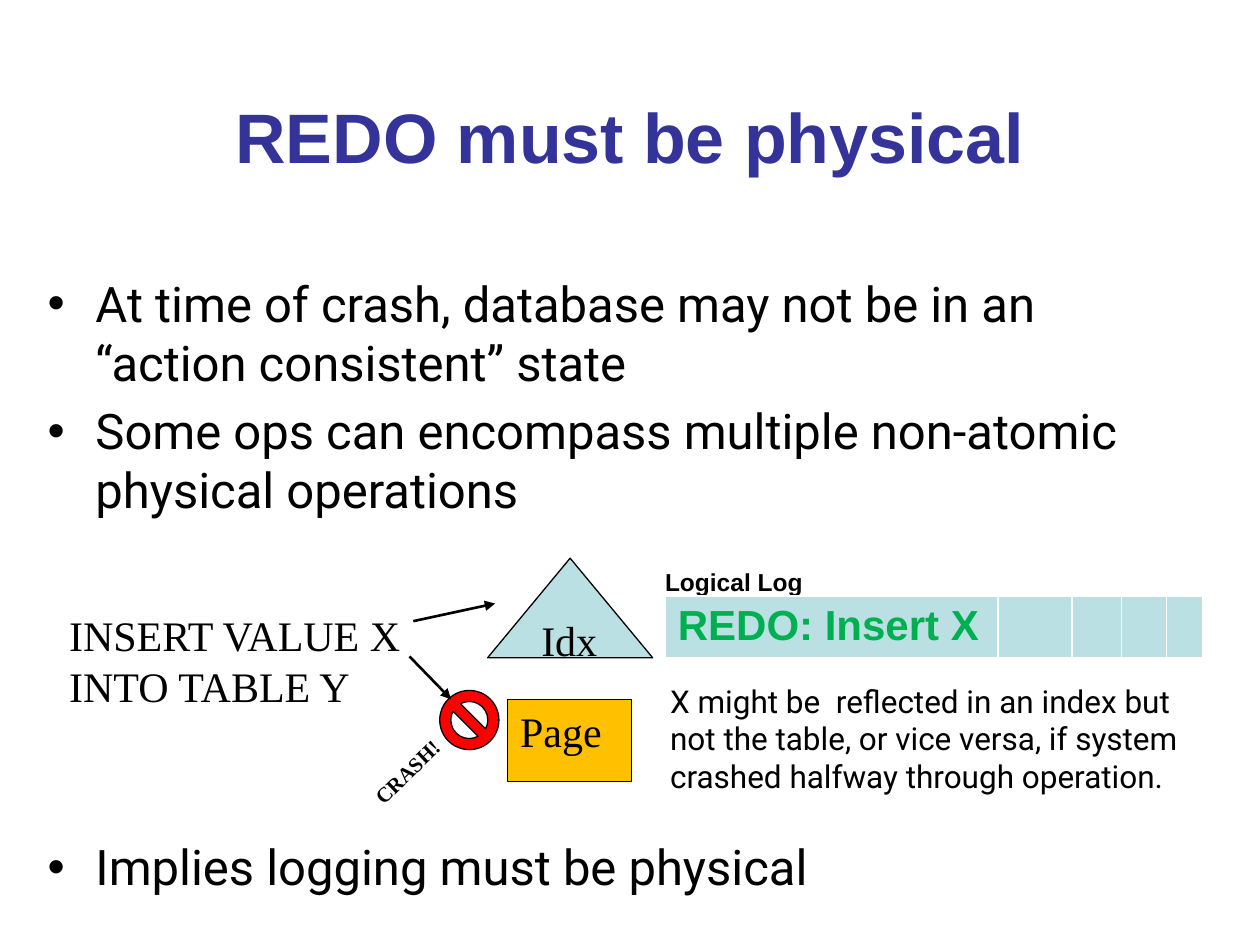
"""Build the slide that explains why REDO logging must be physical."""
from lxml.etree import SubElement
from pptx import Presentation
from pptx.dml.color import RGBColor
from pptx.enum.shapes import MSO_CONNECTOR, MSO_SHAPE
from pptx.enum.text import MSO_ANCHOR, PP_ALIGN
from pptx.oxml import parse_xml
from pptx.oxml.ns import nsdecls, qn
from pptx.util import Inches, Pt


def paint(fill, colour):
    fill.solid()
    fill.fore_color.rgb = RGBColor.from_string(colour)


def write(frame, *lines, font="Times New Roman", size=24, colour="000000", bold=False,
          align=PP_ALIGN.LEFT, anchor=MSO_ANCHOR.TOP, wrap=True, bullet=None,
          left=0, hanging=0, gaps=(0,)):
    frame.word_wrap = wrap
    frame.vertical_anchor = anchor
    for index, (line, gap) in enumerate(zip(lines, gaps)):
        paragraph = frame.add_paragraph() if index else frame.paragraphs[0]
        properties = paragraph._p.get_or_add_pPr()
        properties.set("marL", str(Inches(left)))
        properties.set("indent", str(-Inches(hanging)))
        if bullet:
            SubElement(properties, qn("a:buFont")).set("typeface", "Arial")
            SubElement(properties, qn("a:buChar")).set("char", bullet)
        paragraph.alignment = align
        paragraph.space_before = Pt(gap)
        run = paragraph.add_run()
        run.text = line
        run.font.name = font
        run.font.size = Pt(size)
        run.font.bold = bold
        paint(run.font.fill, colour)


deck = Presentation()
deck.slide_width, deck.slide_height = Inches(10), Inches(7.5)
slide = deck.slides.add_slide(deck.slide_layouts[6])
shapes = slide.shapes
unit = deck.slide_width // 100

captions = [
    ((7.5, 3.3, 85, 14.9), ["REDO must be physical"],
     dict(font="Arial", size=40, colour="333399", bold=True,
          align=PP_ALIGN.CENTER, anchor=MSO_ANCHOR.MIDDLE)),
    ((2.8, 21.2, 89.7, 49.3),
     ["At time of crash, database may not be in an “action consistent” state",
      "Some ops can encompass multiple non-atomic physical operations",
      "Implies logging must be physical"],
     dict(font="Roboto", size=28, bullet="•", left=0.38, hanging=0.38, gaps=(0, 5.6, 182))),
    ((4.5, 47.9, 32.2, 9.1), ["INSERT VALUE X INTO TABLE Y"], {}),
    ((47.2, 53.6, 50, 10.1),
     ["X might be  reflected in an index but not the table, or vice versa, "
      "if system crashed halfway through operation."],
     dict(font="Roboto", size=18, left=0.5)),
    ((51.8, 44.5, 22.7, 3.4), ["Logical Log"], dict(font="Arial", size=14, bold=True)),
]
for place, lines, style in captions:
    caption = shapes.add_textbox(*[round(unit * share) for share in place])
    write(caption.text_frame, *lines, **style)

structures = [
    (MSO_SHAPE.ISOSCELES_TRIANGLE, (38.7, 44.3, 13.1, 7.9), "BBE0E3", "Idx"),
    (MSO_SHAPE.RECTANGLE, (40.3, 55.5, 9.8, 6.5), "FFC000", "Page"),
    (MSO_SHAPE.NO_SYMBOL, (34.9, 54.8, 4.7, 4.7), "FF0000", None),
]
for preset, place, colour, label in structures:
    structure = shapes.add_shape(preset, *[round(unit * share) for share in place])
    structure.shadow.inherit = False
    paint(structure.fill, colour)
    paint(structure.line.fill, "000000")
    structure.line.width = Pt(0.75)
    if label:
        write(structure.text_frame, label, wrap=False)

crash = shapes.add_textbox(*[round(unit * share) for share in (28.1, 59.7, 8.5, 3)])
crash.rotation = 316
write(crash.text_frame, "CRASH!", size=12, bold=True, wrap=False)

for ends in [(32.8, 49.3, 39.3, 47.9), (32.5, 52.1, 35.8, 55.5)]:
    arrow = shapes.add_connector(MSO_CONNECTOR.STRAIGHT, *[round(unit * share) for share in ends])
    paint(arrow.line.fill, "000000")
    arrow.line.width = Pt(1.5)
    SubElement(arrow.line._get_or_add_ln(), qn("a:tailEnd")).set("type", "triangle")
    SubElement(arrow._element.spPr, qn("a:effectLst"))

log_columns = [26.4, 5.9, 3.9, 3.6, 2.9]
log_place = (52.8, 47.3, sum(log_columns), 4.1)
log = shapes.add_table(1, len(log_columns), *[round(unit * share) for share in log_place]).table
for column, width, cell in zip(log.columns, log_columns, log.rows[0].cells):
    column.width = round(unit * width)
    for side, points in [("L", 1), ("R", 1), ("T", 1), ("B", 3)]:
        cell._tc.get_or_add_tcPr().append(parse_xml(
            f'<a:ln{side} {nsdecls("a")} w="{Pt(points)}"><a:solidFill>'
            f'<a:srgbClr val="FFFFFF"/></a:solidFill></a:ln{side}>'))
    paint(cell.fill, "BBE0E3")
write(log.cell(0, 0).text_frame, "REDO: Insert X", font="Arial", colour="00B050", bold=True)

deck.save("out.pptx")
